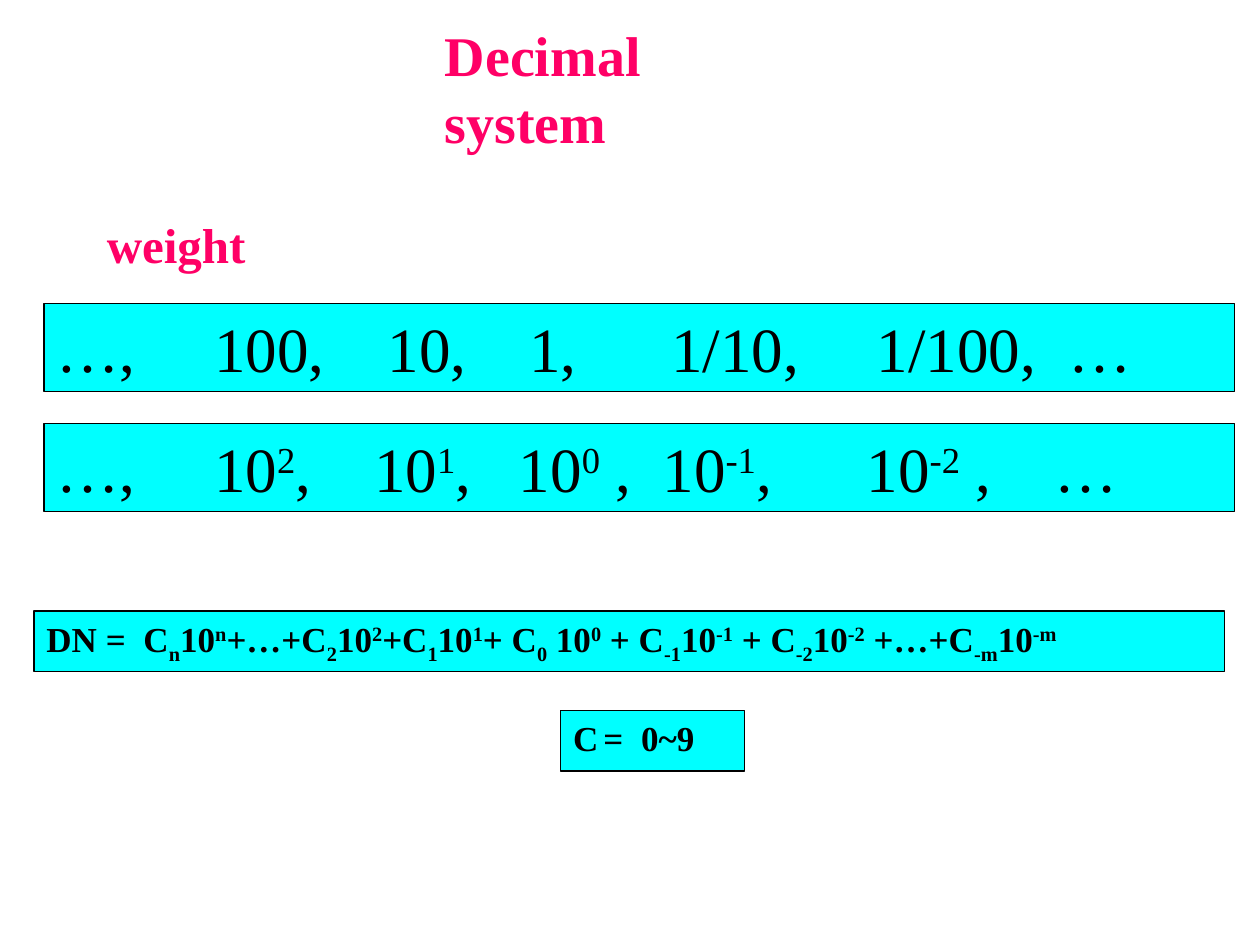
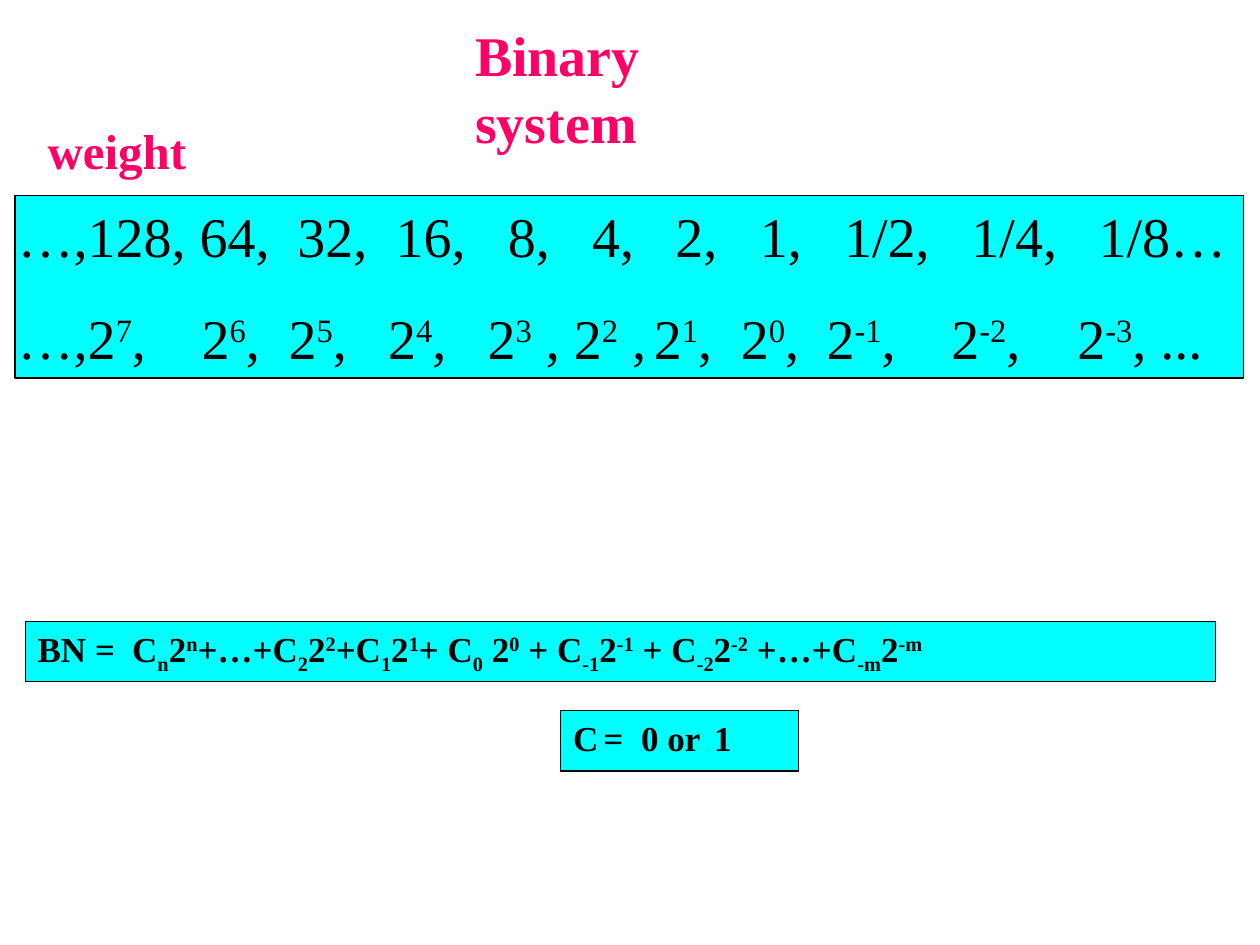
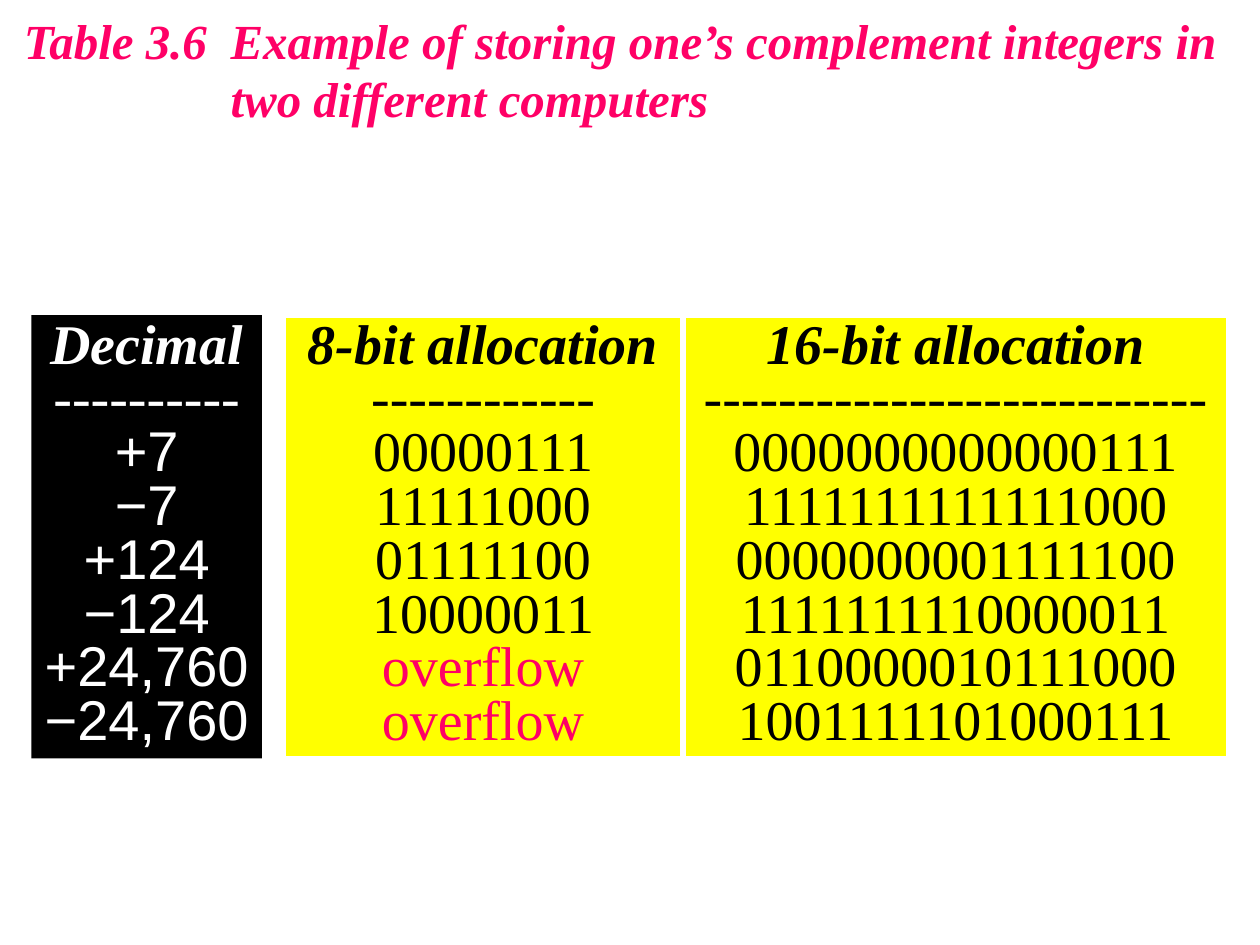
"""Build three slides on number systems and one's complement storage."""
import pptx
import pptx.util
import pptx.dml.color
import pptx.enum.shapes
import pptx.enum.text
import pptx.oxml.ns
from lxml import etree

Inches, Pt = pptx.util.Inches, pptx.util.Pt
ALIGN = pptx.enum.text.PP_ALIGN
RECT = pptx.enum.shapes.MSO_SHAPE.RECTANGLE

THEME = {
    "pink": "FF0066", "cyan": "00FFFF", "yellow": "FFFF00",
    "black": "000000", "white": "FFFFFF",
    "serif": "Times New Roman", "sans": "Arial",
    "title": 32, "label": 28, "large": 36, "grid": 32, "sum": 20,
}
SHIFTS = {"^": "30000", "_": "-25000"}
SUM = ("{name} =\tC_n_{base}^n^+…+C_2_{base}^2^+C_1_{base}^1^+ C_0_ {base}^0^"
       " + C_-1_{base}^-1^ + C_-2_{base}^-2^ +…+C_-m_{base}^-m^")

SYSTEMS = [
    {"title": ("Decimal system", (3.43, 0.11, 3.15, 0.64)),
     "label": (0.75, 1.65, 1.3, 0.57),
     "size": "large", "inset": 0.1,
     "bands": [
         ((0.35, 2.41, 9.45, 0.7), [
             ("…,\t100,\t10,\t1,\t1/10,\t1/100,\t…",
              (1.25, 2.63, 3.75, 4.88, 6.51, 8.03))]),
         ((0.35, 3.36, 9.45, 0.7), [
             ("…,\t10^2^,\t10^1^,\t10^0^ ,\t10^-1^,\t10^-2^ ,\t…",
              (1.25, 2.52, 3.67, 4.81, 6.43, 7.92))])],
     "sum": ("DN", 10, 0.77, (0.27, 4.85, 9.45, 0.48)),
     "digits": ("C\t=\t0~9", (0.24, 0.54), 1.46)},
    {"title": ("Binary system", (3.67, 0.11, 2.9, 0.64)),
     "label": (0.28, 0.91, 1.3, 0.57),
     "size": "grid", "inset": 0.02,
     "bands": [
         ((0.12, 1.55, 9.75, 1.45), [
             ("…,128, 64,\t32,\t16,\t8,\t4,\t2,\t1,\t1/2,\t1/4,\t1/8…",
              (2.22, 3, 3.89, 4.56, 5.22, 5.89, 6.56, 7.57, 8.58)),
             ("…,2^7^,\t2^6^,\t2^5^,\t2^4^,\t2^3^ , 2^2^ ,\t2^1^,"
              "\t2^0^,\t2^-1^,\t2^-2^,\t2^-3^, ...",
              (1.46, 2.15, 2.94, 3.73, 5.05, 5.74, 6.42, 7.41, 8.41))])],
     "sum": ("BN", 2, 0.75, (0.2, 4.93, 9.45, 0.48)),
     "digits": ("C\t=\t0 or\t1", (0.24, 0.54, 1.12), 1.89)},
]

CAPTION = ("Table 3.6\tExample of storing one’s complement integers in\v"
           "two different computers")
COLUMNS = [
    {"head": "Decimal", "dashes": 10, "left": 0.25, "width": 1.83,
     "fill": "black", "ink": "white", "face": "sans", "edge": None,
     "cells": ["+7", "−7", "+124", "−124", "+24,760", "−24,760"]},
    {"head": "8-bit allocation", "dashes": 12, "left": 2.25, "width": 3.17,
     "fill": "yellow", "ink": "black", "face": "serif", "edge": "white",
     "cells": ["00000111", "11111000", "01111100", "10000011",
               "overflow", "overflow"]},
    {"head": "16-bit allocation", "dashes": 27, "left": 5.42, "width": 4.33,
     "fill": "yellow", "ink": "black", "face": "serif", "edge": "white",
     "cells": ["0000000000000111", "1111111111111000", "0000000001111100",
               "1111111110000011", "0110000010111000", "1001111101000111"]},
]


def give(item, **values):
    """Set several attributes of one object."""
    for name, value in values.items():
        setattr(item, name, value)


def tint(name):
    """Return a theme colour."""
    return pptx.dml.color.RGBColor.from_string(THEME[name])


def place(item, spot):
    """Move a shape to a spot given in inches."""
    give(item, **dict(zip(("left", "top", "width", "height"),
                          map(Inches, spot))))


def frame(item, inset=0.1, wrap=True):
    """Prepare the text frame of a shape."""
    body = item.text_frame
    give(body, word_wrap=wrap, auto_size=pptx.enum.text.MSO_AUTO_SIZE.NONE,
         vertical_anchor=pptx.enum.text.MSO_ANCHOR.TOP,
         margin_left=Inches(inset), margin_right=Inches(inset),
         margin_top=Inches(0.05), margin_bottom=Inches(0.05))
    return body


def line(body, first):
    """Return the first paragraph or a new one."""
    return body.paragraphs[0] if first else body.add_paragraph()


def stops(para, places):
    """Add left tab stops to a paragraph."""
    qn = pptx.oxml.ns.qn
    tabs = etree.SubElement(para._p.get_or_add_pPr(), qn("a:tabLst"))
    for spot in places:
        etree.SubElement(tabs, qn("a:tab"), pos=str(Inches(spot)), algn="l")


def pieces(text):
    """Split marked text into strings and their shift marks."""
    part, mark = "", None
    for sign in text:
        if sign in SHIFTS:
            yield part, mark
            part, mark = "", None if mark else sign
        else:
            part += sign
    yield part, mark


def write(para, text, size, ink="black", face="serif", bold=False,
          slant=False, align=ALIGN.LEFT):
    """Fill a paragraph with marked text."""
    para.alignment = align
    for order, row in enumerate(text.split("\v")):
        if order:
            para.add_line_break()
        for part, mark in pieces(row):
            if not part:
                continue
            run = para.add_run()
            run.text = part
            give(run.font, size=Pt(THEME[size]), name=THEME[face],
                 bold=bold, italic=slant)
            run.font.color.rgb = tint(ink)
            if mark:
                run._r.get_or_add_rPr().set("baseline", SHIFTS[mark])


def panel(slide, spot, fill, edge="black", weight=0.75, inset=0.1):
    """Add a filled rectangle and return its text frame."""
    box = slide.shapes.add_shape(RECT, *map(Inches, spot))
    box.shadow.inherit = False
    box.fill.solid()
    box.fill.fore_color.rgb = tint(fill)
    if edge:
        box.line.color.rgb = tint(edge)
        box.line.width = Pt(weight)
    else:
        box.line.fill.background()
    return frame(box, inset)


def start(deck, spot, wrap=False):
    """Add a title-only slide and return it with its title paragraph."""
    slide = deck.slides.add_slide(deck.slide_layouts[5])
    place(slide.shapes.title, spot)
    return slide, frame(slide.shapes.title, wrap=wrap).paragraphs[0]


def band(slide, spot, rows, size, inset=0.1, bold=False):
    """Add a cyan band with tabbed rows."""
    body = panel(slide, spot, "cyan", inset=inset)
    for order, (text, places) in enumerate(rows):
        para = line(body, not order)
        stops(para, places)
        if order:
            para.space_before = Pt(20)
        write(para, text, size, bold=bold)


def system(deck, data):
    """Build the slide of one number system."""
    text, spot = data["title"]
    slide, head = start(deck, spot)
    write(head, text, "title", "pink", bold=True)
    label = slide.shapes.add_textbox(*map(Inches, data["label"]))
    write(frame(label, wrap=False).paragraphs[0], "weight", "label", "pink",
          bold=True)
    for spot, rows in data["bands"]:
        band(slide, spot, rows, data["size"], data["inset"])
    name, base, stop, spot = data["sum"]
    band(slide, spot, [(SUM.format(name=name, base=base), (stop,))], "sum",
         bold=True)
    text, places, width = data["digits"]
    band(slide, (4.45, 5.64, width, 0.48), [(text, places)], "sum", bold=True)


def storage(deck):
    """Build the slide that compares two allocations."""
    slide, head = start(deck, (0.09, 0.03, 9.83, 1.04), wrap=True)
    hang = Inches(1.64)
    props = head._p.get_or_add_pPr()
    props.set("marL", str(hang))
    props.set("indent", str(-hang))
    write(head, CAPTION, "label", "pink", bold=True, slant=True)
    for col in COLUMNS:
        body = panel(slide, (col["left"], 2.5, col["width"], 3.52),
                     col["fill"], col["edge"], 3)
        rows = [col["head"], "-" * col["dashes"], *col["cells"]]
        for order, text in enumerate(rows):
            para = line(body, not order)
            para.line_spacing = 0.8
            write(para, text, "grid",
                  "pink" if text == "overflow" else col["ink"],
                  col["face"] if order > 1 else "serif",
                  bold=not order, slant=not order, align=ALIGN.CENTER)


def main():
    """Build and save the deck."""
    deck = pptx.Presentation()
    give(deck, slide_width=Inches(10), slide_height=Inches(7.5))
    for data in SYSTEMS:
        system(deck, data)
    storage(deck)
    deck.save("out.pptx")


if __name__ == "__main__":
    main()
